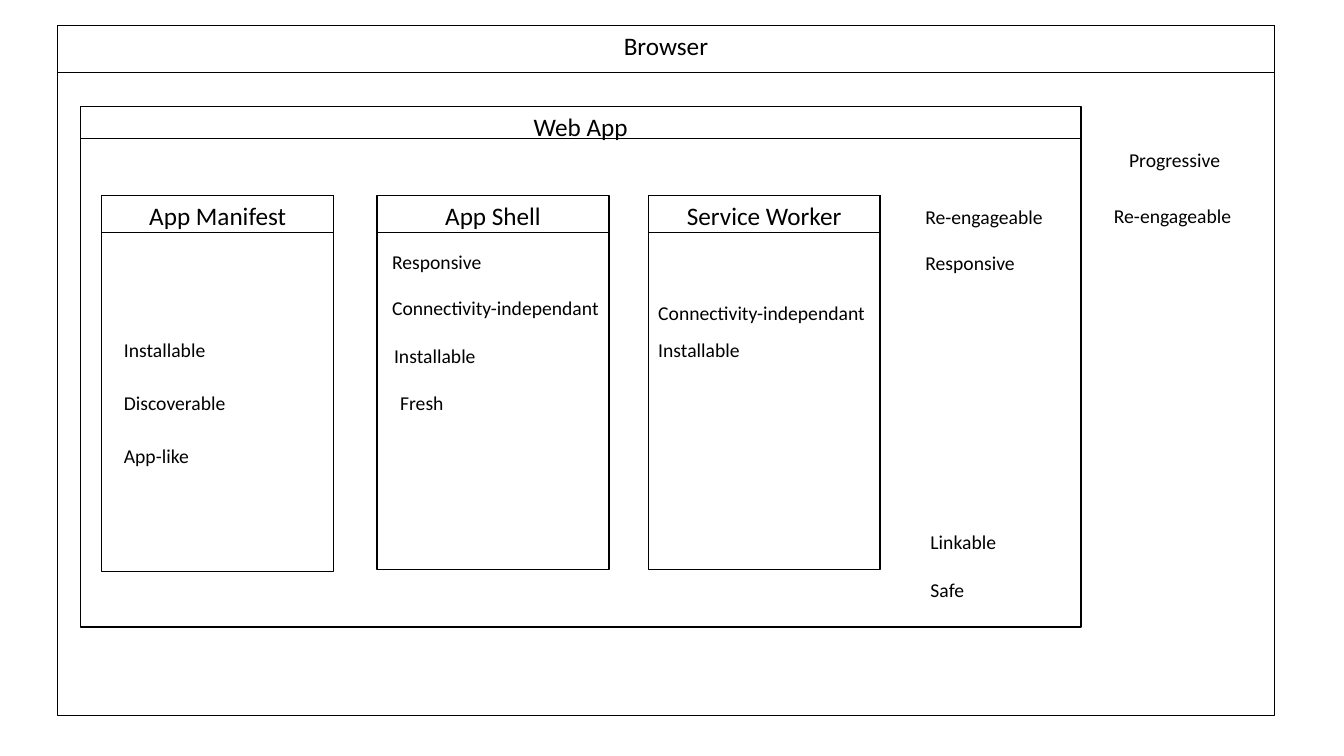
from pptx import Presentation
from pptx.dml.color import RGBColor
from pptx.enum.shapes import MSO_SHAPE as Shape
from pptx.enum.text import MSO_ANCHOR as Anchor, PP_ALIGN as Align
from pptx.util import Inches, Pt

BLACK = "000000"


def color(value):
    return RGBColor.from_string(value)


def write(box, text, size, align):
    frame = box.text_frame
    frame.word_wrap = True
    frame.vertical_anchor = Anchor.TOP
    para = frame.paragraphs[0]
    para.text = text
    para.alignment = align
    para.font.name = "Calibri"
    para.font.size = Pt(size)
    para.font.color.rgb = color(BLACK)


deck = Presentation()
deck.slide_width = Inches(13.33)
deck.slide_height = Inches(7.5)
page = deck.slides.add_slide(deck.slide_layouts[6])

panels = [
    ("Browser", 0.57, 0.25, 12.07, 6.85, 0.47),
    ("Web App", 0.8, 1.06, 9.92, 5.16, 0.31),
    ("App Manifest", 1.01, 1.94, 2.3, 3.73, 0.37),
    ("App Shell", 3.74, 1.94, 2.3, 3.71, 0.37),
    ("Service Worker", 6.43, 1.94, 2.3, 3.71, 0.37),
]
for name, left, top, width, height, header_height in panels:
    for part_height, weight in [(height, 1), (header_height, 0.75)]:
        box = page.shapes.add_shape(
            Shape.RECTANGLE, Inches(left), Inches(top), Inches(width), Inches(part_height)
        )
        box.shadow.inherit = False
        box.fill.background()
        box.line.color.rgb = color(BLACK)
        box.line.width = Pt(weight)
    write(box, name, 18, Align.CENTER)

traits = [
    ("Installable", 1.13, 3.3),
    ("Discoverable", 1.13, 3.83),
    ("App-like", 1.13, 4.36),
    ("Responsive", 3.79, 2.43),
    ("Connectivity-independant", 3.79, 2.89),
    ("Installable", 3.81, 3.36),
    ("Fresh", 3.87, 3.83),
    ("Connectivity-independant", 6.43, 2.94),
    ("Installable", 6.43, 3.3),
    ("Re-engageable", 9.08, 1.98),
    ("Responsive", 9.08, 2.44),
    ("Linkable", 9.13, 5.21),
    ("Safe", 9.13, 5.68),
    ("Progressive", 11.1, 1.42),
    ("Re-engageable", 10.95, 1.97),
]
widths = {
    "Connectivity-independant": 2.35,
    "Re-engageable": 1.53,
    "Responsive": 1.45,
    "Discoverable": 1.45,
}
for trait, left, top in traits:
    box = page.shapes.add_textbox(
        Inches(left), Inches(top), Inches(widths.get(trait, 1.22)), Inches(0.34)
    )
    write(box, trait, 14, Align.LEFT)

deck.save("out.pptx")
